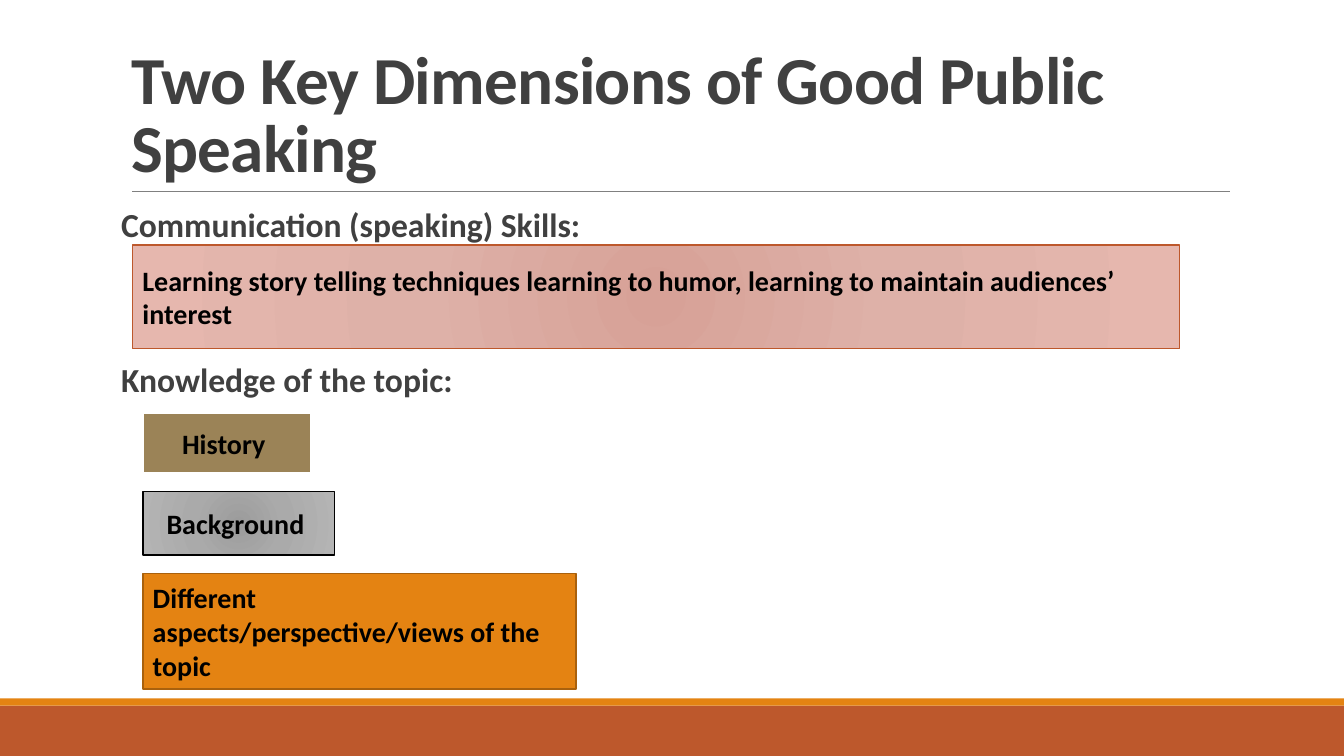
from dataclasses import dataclass
from typing import Optional

import pptx
import pptx.dml.color
import pptx.enum.shapes
import pptx.enum.text
import pptx.oxml
import pptx.oxml.ns
import pptx.util

Cm = pptx.util.Cm
Pt = pptx.util.Pt
RGBColor = pptx.dml.color.RGBColor
Align = pptx.enum.text.PP_ALIGN
Anchor = pptx.enum.text.MSO_ANCHOR
qn = pptx.oxml.ns.qn

FONT = "Calibri"
BLACK = RGBColor(0x00, 0x00, 0x00)
WHITE = RGBColor(0xFF, 0xFF, 0xFF)
DARK = RGBColor(0x40, 0x40, 0x40)
GREY = RGBColor(0x80, 0x80, 0x80)
RUST = RGBColor(0xBD, 0x58, 0x2C)
ORANGE = RGBColor(0xE4, 0x83, 0x12)
BROWN = RGBColor(0xA9, 0x61, 0x0D)
TAN = RGBColor(0x9B, 0x83, 0x57)
ROSE = [RGBColor(0xD7, 0xA1, 0x97), RGBColor(0xDE, 0xB1, 0xA8), RGBColor(0xE6, 0xB7, 0xAE)]
ASH = [RGBColor(0x9C, 0x9C, 0x9C), RGBColor(0xAA, 0xAA, 0xAA), RGBColor(0xB4, 0xB4, 0xB4)]
STOPS = (0, 45, 100)
WIDE, HIGH = 33.87, 19.05


@dataclass
class Box:
    left: float
    top: float
    width: float
    height: float
    fill: RGBColor | list[RGBColor]
    line: Optional[RGBColor] = None
    weight: float = 1
    text: str = ""
    align: Align = Align.LEFT


BOXES = [
    Box(0, 17.78, WIDE, 1.27, RUST),
    Box(0, 17.6, WIDE, 0.18, ORANGE),
    Box(3.34, 6.17, 26.39, 2.62, ROSE, RUST, 1,
        "Learning story telling techniques learning to humor, "
        "learning to maintain audiences’ interest"),
    Box(3.6, 10.41, 4.24, 1.52, TAN, WHITE, 2, "History ", Align.CENTER),
    Box(3.6, 12.39, 4.83, 1.6, ASH, BLACK, 1, "Background ", Align.CENTER),
    Box(3.6, 14.45, 10.92, 2.92, ORANGE, BROWN, 1.25,
        "Different aspects/perspective/views of the topic"),
]


def style(para, size: float, color: RGBColor) -> None:
    for run in para.runs:
        font = run.font
        font.name, font.size, font.bold = FONT, Pt(size), True
        font.color.rgb = color


def place(shape, left: float, top: float, width: float, height: float) -> None:
    shape.left, shape.top = Cm(left), Cm(top)
    shape.width, shape.height = Cm(width), Cm(height)


def glow(shape, colors: list[RGBColor]) -> None:
    shape.fill.gradient()
    grad = shape._element.spPr.find(qn("a:gradFill"))
    stops = "".join(
        f'<a:gs pos="{pos * 1000}"><a:srgbClr val="{color}"/></a:gs>'
        for pos, color in zip(STOPS, colors))
    grad.getparent().replace(grad, pptx.oxml.parse_xml(
        f'<a:gradFill {pptx.oxml.ns.nsdecls("a")} rotWithShape="1">'
        f'<a:gsLst>{stops}</a:gsLst><a:path path="circle">'
        '<a:fillToRect l="100000" t="100000" r="100000" b="100000"/>'
        '</a:path></a:gradFill>'))


def draw(slide, box: Box) -> None:
    shape = slide.shapes.add_shape(
        pptx.enum.shapes.MSO_SHAPE.RECTANGLE,
        Cm(box.left), Cm(box.top), Cm(box.width), Cm(box.height))
    shape.shadow.inherit = False
    if isinstance(box.fill, RGBColor):
        shape.fill.solid()
        shape.fill.fore_color.rgb = box.fill
    else:
        glow(shape, box.fill)
    if box.line is None:
        shape.line.fill.background()
    else:
        shape.line.color.rgb = box.line
        shape.line.width = Pt(box.weight)
    if box.text:
        frame = shape.text_frame
        frame.word_wrap = True
        frame.vertical_anchor = Anchor.MIDDLE
        frame.text = box.text
        para = frame.paragraphs[0]
        para.alignment = box.align
        style(para, 20, BLACK)


def head(slide) -> None:
    title = slide.shapes.title
    place(title, 3.05, 0.79, 27.94, 4.04)
    frame = title.text_frame
    frame.text = "Two Key Dimensions of Good Public Speaking"
    frame.word_wrap = True
    frame.auto_size = pptx.enum.text.MSO_AUTO_SIZE.NONE
    frame.vertical_anchor = Anchor.BOTTOM
    para = frame.paragraphs[0]
    para.alignment = Align.LEFT
    para.line_spacing = 0.85
    style(para, 48, DARK)
    para.runs[0]._r.get_or_add_rPr().set("spc", "-50")


def topics(slide) -> None:
    body = slide.placeholders[1]
    place(body, 3.05, 5.13, 27.94, 11.18)
    frame = body.text_frame
    frame.text = "Communication (speaking) Skills:\nKnowledge of the topic:"
    frame.word_wrap = True
    frame.auto_size = pptx.enum.text.MSO_AUTO_SIZE.NONE
    frame.margin_left = frame.margin_right = 0
    for para, gap in zip(frame.paragraphs, (0, 83)):
        props = para._p.get_or_add_pPr()
        props.set("marL", "0")
        props.set("indent", "0")
        props.append(pptx.oxml.parse_xml(f'<a:buNone {pptx.oxml.ns.nsdecls("a")}/>'))
        para.line_spacing = 0.9
        para.space_before, para.space_after = Pt(gap), Pt(2)
        style(para, 24, DARK)


def rule(slide) -> None:
    line = slide.shapes.add_connector(
        pptx.enum.shapes.MSO_CONNECTOR.STRAIGHT,
        Cm(3.33), Cm(4.83), Cm(31), Cm(4.83))
    line.line.color.rgb = GREY
    line.line.width = Pt(0.5)
    line._element.spPr.append(
        pptx.oxml.parse_xml(f'<a:effectLst {pptx.oxml.ns.nsdecls("a")}/>'))


def main() -> None:
    deck = pptx.Presentation()
    deck.slide_width, deck.slide_height = Cm(WIDE), Cm(HIGH)
    slide = deck.slides.add_slide(deck.slide_layouts[1])
    head(slide)
    topics(slide)
    rule(slide)
    for box in BOXES:
        draw(slide, box)
    deck.save("out.pptx")


if __name__ == "__main__":
    main()
